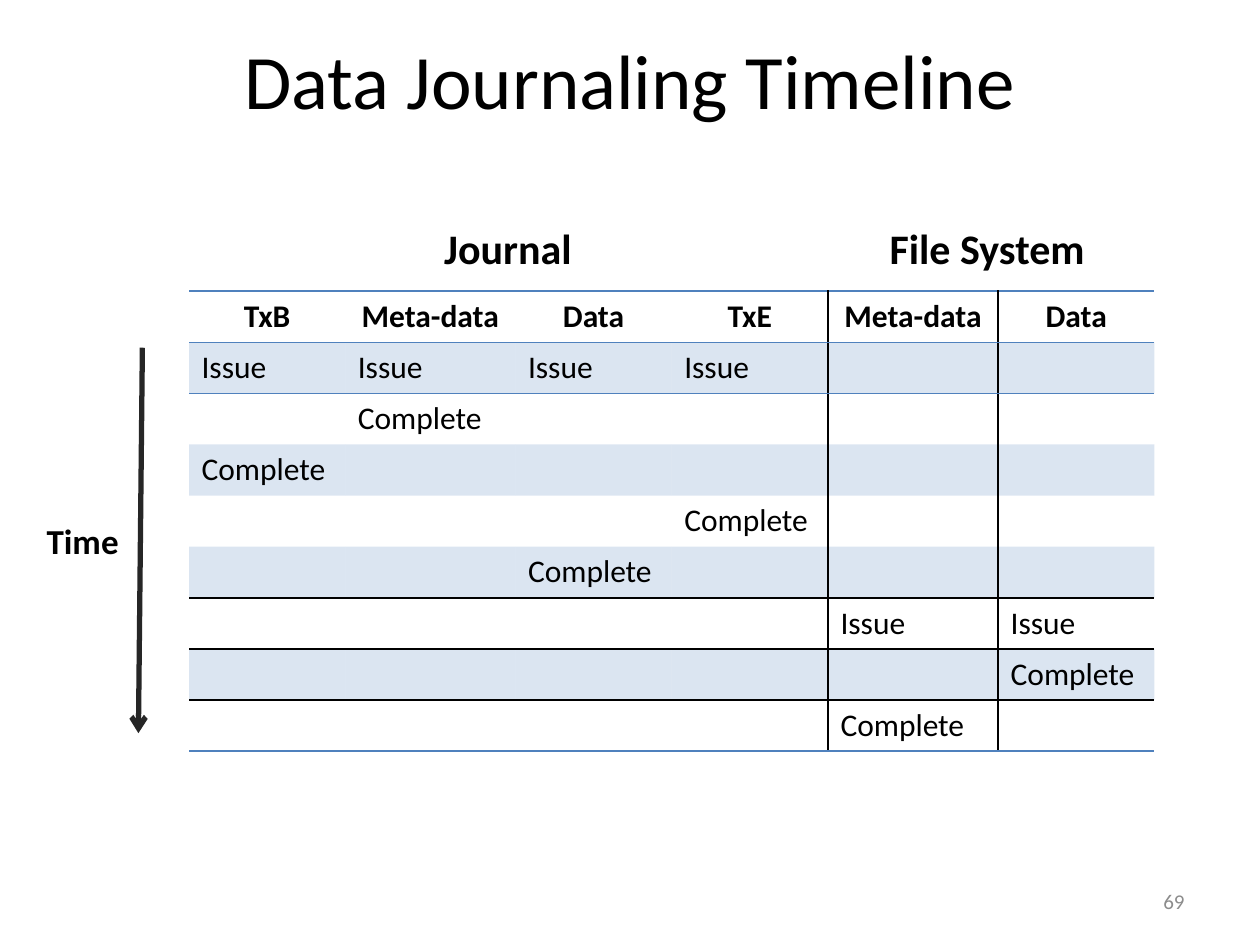
from lxml.etree import SubElement
from pptx import Presentation
from pptx.dml.color import RGBColor
from pptx.enum.shapes import MSO_CONNECTOR
from pptx.enum.text import MSO_ANCHOR as Anchor, MSO_AUTO_SIZE as AutoSize, PP_ALIGN as Align
from pptx.oxml.ns import qn
from pptx.util import Cm, Pt

COLORS = {"text": "000000", "accent": "4F81BD", "arrow": "262626", "number": "8C8C8C"}
FONT = "Calibri"
NO_STYLE = "{2D5ABB26-0587-4C30-8999-92F81FD0307C}"

COLUMN_WIDTHS = [3.15, 3.43, 3.15, 3.15, 3.43, 3.15]
HEADINGS = ["TxB", "Meta-data", "Data", "TxE", "Meta-data", "Data"]
EVENTS = [
    ["Issue", "Issue", "Issue", "Issue", "", ""],
    ["", "Complete", "", "", "", ""],
    ["Complete", "", "", "", "", ""],
    ["", "", "", "Complete", "", ""],
    ["", "", "Complete", "", "", ""],
    ["", "", "", "", "Issue", "Issue"],
    ["", "", "", "", "", "Complete"],
    ["", "", "", "", "Complete", ""],
]
# Colours of the ruled lines, by the number of rows or columns before them
ROW_RULES = {0: "accent", 1: "accent", 6: "text", 7: "text", 9: "accent"}
COLUMN_RULES = {4: "text", 5: "text"}


def style_text(paragraph, size, bold=False, color="text", align=Align.LEFT):
    paragraph.alignment = align
    for run in paragraph.runs:
        run.font.name = FONT
        run.font.size = Pt(size)
        run.font.bold = bold
        run.font.color.rgb = RGBColor.from_string(COLORS[color])


def add_label(slide, box, text, size, wrap=False, anchor=Anchor.TOP, **style):
    label = slide.shapes.add_textbox(*map(Cm, box))
    frame = label.text_frame
    frame.word_wrap = wrap
    frame.auto_size = AutoSize.NONE if wrap else AutoSize.SHAPE_TO_FIT_TEXT
    frame.vertical_anchor = anchor
    frame.text = text
    style_text(frame.paragraphs[0], size, **style)


def add_solid(parent, color):
    fill = SubElement(parent, qn("a:solidFill"))
    return SubElement(fill, qn("a:srgbClr"), val=COLORS[color])


def rule_cell(cell, row, column):
    """Draw the ruled lines that touch the cell."""
    sides = {
        "a:lnL": COLUMN_RULES.get(column),
        "a:lnR": COLUMN_RULES.get(column + 1),
        "a:lnT": ROW_RULES.get(row),
        "a:lnB": ROW_RULES.get(row + 1),
    }
    properties = cell._tc.get_or_add_tcPr()
    for side, color in sides.items():
        if color:
            add_solid(SubElement(properties, qn(side), w=str(Pt(1))), color)


def fill_cell(cell, banded):
    if not banded:
        cell.fill.background()
        return
    cell.fill.solid()
    cell.fill.fore_color.rgb = RGBColor.from_string(COLORS["accent"])
    tint = cell._tc.tcPr.find(qn("a:solidFill"))[0]
    SubElement(tint, qn("a:alpha"), val="20000")


def add_timeline_table(slide, box):
    rows = [HEADINGS] + EVENTS
    table = slide.shapes.add_table(len(rows), len(HEADINGS), *map(Cm, box)).table
    table.first_row = table.horz_banding = False
    table._tbl.tblPr.find(qn("a:tableStyleId")).text = NO_STYLE
    for column, width in zip(table.columns, COLUMN_WIDTHS):
        column.width = Cm(width)
    for r, texts in enumerate(rows):
        table.rows[r].height = Cm(box[3] / len(rows))
        for c, text in enumerate(texts):
            cell = table.cell(r, c)
            cell.text = text
            heading = r == 0
            style_text(cell.text_frame.paragraphs[0], 18, bold=heading,
                       align=Align.CENTER if heading else Align.LEFT)
            rule_cell(cell, r, c)
            fill_cell(cell, banded=r % 2 == 1)


def add_timeline(slide, box):
    """Place the table with its two group headings above it."""
    left, top, _, _ = box
    heading = {"size": 24, "bold": True, "align": Align.CENTER}
    add_label(slide, (left + 4.88, top - 1.5, 3.1, 1.28), "Journal", **heading)
    add_label(slide, (left + 13.84, top - 1.5, 4.5, 1.28), "File System", **heading)
    add_timeline_table(slide, box)


def add_time_axis(slide, box):
    left, top, width, height = box
    arrow = slide.shapes.add_connector(
        MSO_CONNECTOR.STRAIGHT, Cm(left + width), Cm(top),
        Cm(left + width - 0.08), Cm(top + height))
    arrow.line.color.rgb = RGBColor.from_string(COLORS["arrow"])
    arrow.line.width = Pt(3)
    SubElement(arrow.line._ln, qn("a:tailEnd"), type="arrow")
    SubElement(arrow._element.spPr, qn("a:effectLst"))
    add_label(slide, (left, top + 3.33, 1.98, 1.12), "Time", 20, bold=True)


def main():
    deck = Presentation()
    deck.slide_width, deck.slide_height = Cm(25.4), Cm(19.05)
    slide = deck.slides.add_slide(deck.slide_layouts[6])
    add_label(slide, (1.27, 0, 22.86, 3.18), "Data Journaling Timeline", 44,
              wrap=True, anchor=Anchor.MIDDLE, align=Align.CENTER)
    add_timeline(slide, (3.81, 5.87, sum(COLUMN_WIDTHS), 9.27))
    add_time_axis(slide, (0.69, 7.01, 2.18, 7.77))
    add_label(slide, (18.2, 17.66, 5.93, 1.01), "69", 12, wrap=True,
              anchor=Anchor.MIDDLE, color="number", align=Align.RIGHT)
    deck.save("out.pptx")


if __name__ == "__main__":
    main()
